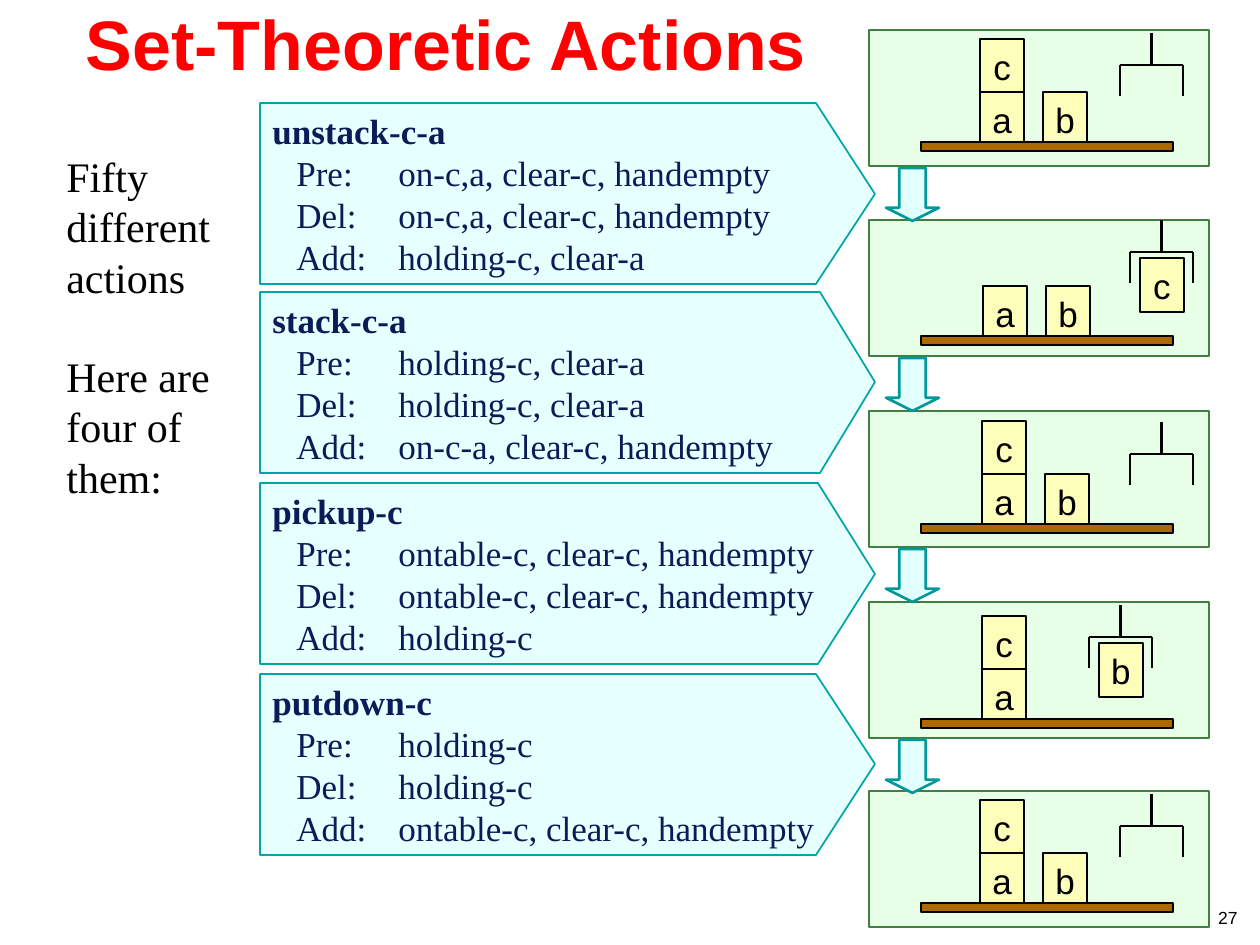
from lxml.etree import SubElement
from pptx import Presentation
from pptx.dml.color import RGBColor
from pptx.enum.shapes import MSO_CONNECTOR, MSO_SHAPE
from pptx.enum.text import MSO_ANCHOR, PP_ALIGN
from pptx.oxml.ns import qn
from pptx.util import Pt

PX = 914400 / 126
COLORS = {
    "title": "FF0000", "black": "000000", "navy": "081D58",
    "action": "E6FFFF", "action_line": "00A6A6",
    "panel": "E6FFE6", "panel_line": "408040",
    "block": "FCFEB9", "table": "AD6900",
    "arrow": "E1FFFF", "arrow_line": "009999",
}
SERIF, SANS = "Times New Roman", "Arial"
BLOCK_W, BLOCK_H, STACK = 44, 54, 53
PANEL_X, PANEL_W, PANEL_H = 869, 340, 136

ACTIONS = [
    (103, 816, "unstack-c-a", "on-c,a, clear-c, handempty",
     "on-c,a, clear-c, handempty", "holding-c, clear-a"),
    (292, 820, "stack-c-a", "holding-c, clear-a",
     "holding-c, clear-a", "on-c-a, clear-c, handempty"),
    (483, 818, "pickup-c", "ontable-c, clear-c, handempty",
     "ontable-c, clear-c, handempty", "holding-c"),
    (674, 816, "putdown-c", "holding-c",
     "holding-c", "ontable-c, clear-c, handempty"),
]

# panel top, table top, hand position, first column, held block
STATES = [
    (30, 142, (1120, 33), 980, None),
    (220, 336, (1130, 220), 983, "c"),
    (411, 524, (1130, 422), 982, None),
    (602, 719, (1089, 605), 982, "b"),
    (791, 903, (1120, 794), 980, None),
]


def px(*lengths):
    """Turn pixel lengths into EMU."""
    return [round(n * PX) for n in lengths]


def rgb(name):
    """Look up a named colour."""
    return RGBColor.from_string(COLORS[name])


def style(sp, fill, line, width=1):
    """Set fill and outline and drop the shadow."""
    sp.shadow.inherit = False
    sp.fill.solid()
    sp.fill.fore_color.rgb = rgb(fill)
    sp.line.color.rgb = rgb(line)
    sp.line.width = Pt(width)


def write(tf, lines, font, size, color, bold=False, align=PP_ALIGN.LEFT,
          anchor=MSO_ANCHOR.TOP, wrap=True):
    """Write one paragraph per line in a single format."""
    tf.word_wrap = wrap
    tf.vertical_anchor = anchor
    for i, line in enumerate(lines):
        p = tf.paragraphs[0] if i == 0 else tf.add_paragraph()
        p.text = line
        p.alignment = align
        p.font.name, p.font.size, p.font.bold = font, Pt(size), bold
        p.font.color.rgb = rgb(color)


def add_label(s, rect, lines, *fmt, **options):
    """Add a text box and return its text frame."""
    tf = s.shapes.add_textbox(*px(*rect)).text_frame
    write(tf, lines, *fmt, **options)
    return tf


def add_box(s, kind, rect, fill, line, width=1):
    """Add a styled preset shape."""
    sp = s.shapes.add_shape(kind, *px(*rect))
    style(sp, fill, line, width)
    return sp


def add_tabs(p, *stops):
    """Give a paragraph left tab stops."""
    pPr = p._p.get_or_add_pPr()
    tabs = pPr.makeelement(qn("a:tabLst"))
    pPr.insert(0, tabs)
    for pos in px(*stops):
        SubElement(tabs, qn("a:tab"), pos=str(pos), algn="l")


def add_action(s, top, shoulder, name, pre, delete, add):
    """Add a pointed box listing one action."""
    left, right, height = 260, 875, 181
    fb = s.shapes.build_freeform(left, top, scale=PX)
    fb.add_line_segments([(shoulder, top), (right, top + height / 2),
                          (shoulder, top + height), (left, top + height)])
    sp = fb.convert_to_shape()
    style(sp, "action", "action_line")
    lines = [name, f"\tPre:\t{pre}", f"\tDel:\t{delete}", f"\tAdd:\t{add}"]
    write(sp.text_frame, lines, SERIF, 20, "navy")
    for p in sp.text_frame.paragraphs:
        add_tabs(p, 24, 126)
    sp.text_frame.paragraphs[0].font.bold = True


def add_block(s, letter, left, top):
    """Add a lettered block."""
    sp = add_box(s, MSO_SHAPE.RECTANGLE, (left, top, BLOCK_W, BLOCK_H),
                 "block", "black")
    write(sp.text_frame, [letter], SANS, 20, "black",
          align=PP_ALIGN.CENTER, wrap=False)


def add_line(s, x1, y1, x2, y2):
    """Add a plain black line."""
    c = s.shapes.add_connector(MSO_CONNECTOR.STRAIGHT, *px(x1, y1, x2, y2))
    c.line.color.rgb = rgb("black")
    c.line.width = Pt(1.5)
    SubElement(c._element.spPr, qn("a:effectLst"))


def add_hand(s, left, top):
    """Add a gripper of four lines."""
    span, bar, tip = 63, top + 32, top + 63
    right, middle = left + span, left + span / 2
    for ends in [(left, tip, left, bar), (right, tip, right, bar),
                 (left, bar, right, bar), (middle, bar, middle, top)]:
        add_line(s, *ends)


def add_state(s, top, table, hand, column, held):
    """Add a panel with its table, blocks and hand."""
    add_box(s, MSO_SHAPE.RECTANGLE, (PANEL_X, top, PANEL_W, PANEL_H),
            "panel", "panel_line")
    base = table - 50
    places = {"c": (column, base - STACK), "a": (column, base),
              "b": (column + 63, base)}
    if held:
        places[held] = (hand[0] + 10, hand[1] + 38)
    for letter, place in places.items():
        add_block(s, letter, *place)
    add_box(s, MSO_SHAPE.RECTANGLE, (921, table, 252, 9), "table", "black")
    add_hand(s, *hand)


def add_arrow(s, panel_top):
    """Add the arrow leading down from a panel."""
    sp = add_box(s, MSO_SHAPE.DOWN_ARROW, (886, panel_top + 138, 53, 53),
                 "arrow", "arrow_line", 1.5)
    sp.adjustments[1] = 0.25


def add_title(s, text):
    """Place and format the title."""
    sp = s.shapes.title
    sp.left, sp.top, sp.width, sp.height = px(21, 14, 850, 77)
    write(sp.text_frame, [text], SANS, 40, "title", bold=True,
          align=PP_ALIGN.CENTER, anchor=MSO_ANCHOR.BOTTOM)


def main():
    """Build and save the slide."""
    prs = Presentation()
    prs.slide_width, prs.slide_height = px(1260, 945)
    s = prs.slides.add_slide(prs.slide_layouts[5])
    add_title(s, "Set-Theoretic Actions")
    tf = add_label(s, (54, 144, 189, 373),
                   ["Fifty different", "actions", "Here are four of them:"],
                   SERIF, 24, "black")
    tf.paragraphs[2].space_before = Pt(28)
    tf = add_label(s, (1184, 901, 66, 33), ["27"], SANS, 10, "black",
                   align=PP_ALIGN.RIGHT)
    tf.paragraphs[0].space_before = Pt(6)
    for action in ACTIONS:
        add_action(s, *action)
    for state in STATES:
        add_state(s, *state)
    for top, *_ in STATES[:-1]:
        add_arrow(s, top)
    prs.save("out.pptx")


if __name__ == "__main__":
    main()
